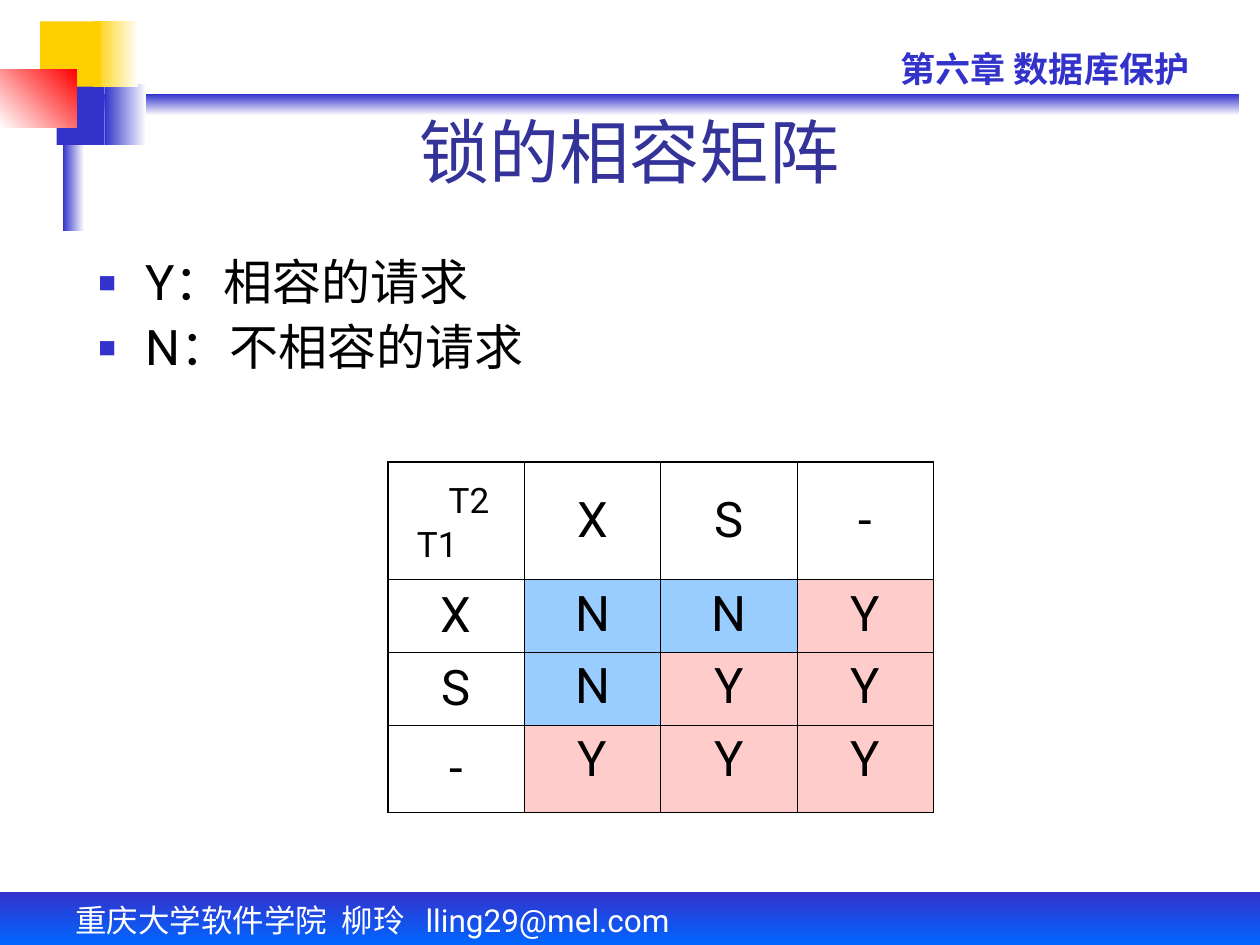
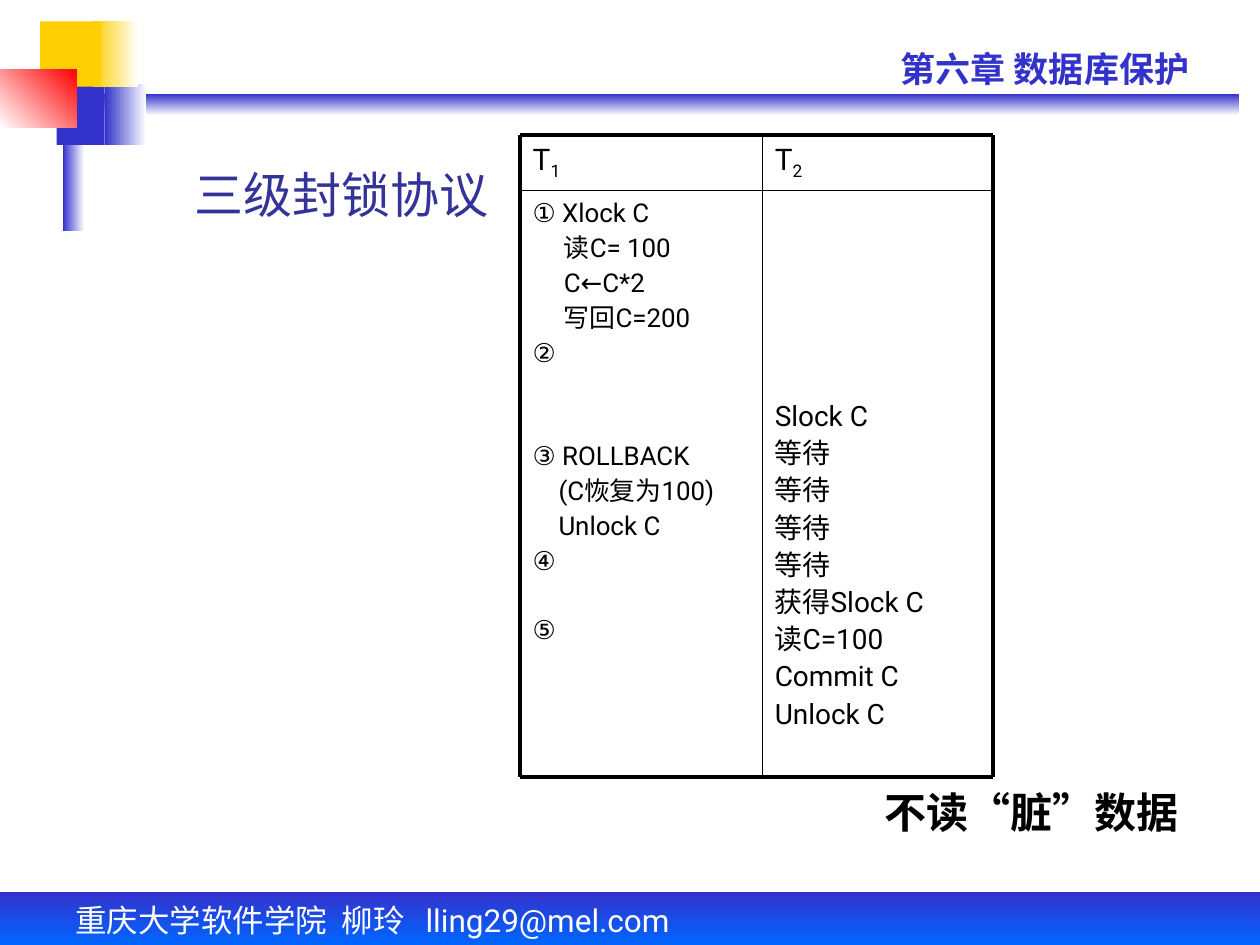
from pptx import Presentation
from pptx.dml.color import RGBColor as Rgb
from pptx.enum.shapes import MSO_CONNECTOR as Link, MSO_SHAPE as Kind
from pptx.enum.text import MSO_ANCHOR as Anchor, MSO_AUTO_SIZE as Fit, PP_ALIGN as Align
from pptx.oxml.ns import qn
from pptx.util import Cm, Pt
from lxml.etree import SubElement as Sub

# ---- Content (lengths in cm, sizes in pt) ----
FONT = "Roboto"
BLUE, NAVY, GOLD, RED = "3333CC", "333399", "FFCF01", "FF0000"
SKY, PINK, WHITE, BLACK = "99CCFF", "FFCCCC", "FFFFFF", "000000"

# box, colours, gradient direction (clockwise)
BANDS = [
    ((1.47, 1.9, 23.5, 0.43), (BLUE, WHITE), 90),
    ((2.11, 1.7, 0.84, 1.22), (WHITE, BLUE), 180),
    ((0, 17.98, 25.4, 1.07), (BLUE, "0066FF"), 90),
    ((1.27, 1.47, 0.43, 3.18), (WHITE, BLUE), 180),
    ((1.14, 1.7, 0.97, 1.22), (BLUE,), 0),
    ((1.88, 0.43, 0.91, 1.32), (WHITE, GOLD), 180),
    ((0.81, 0.43, 1.22, 1.32), (GOLD,), 0),
    ((0, 1.4, 1.55, 1.17), (RED, WHITE), 135),
]
CHAPTER = "第六章 数据库保护"
AUTHOR = ("重庆大学软件学院", "柳玲", "lling29@mel.com")
STOPS = (5.37, 7.06)

LOCK = {
    "title": "锁的相容矩阵",
    "keys": ["Y：相容的请求", "N：不相容的请求"],
    "corner": [("T2", 0.97, 0), ("T1", 0.33, 2)],
    "grid": ["?XS-", "XNNY", "SNYY", "-YYY"],
    "box": (7.82, 9.32, 11.0, 7.06),
    "rows": (2.36, 1.47, 1.47, 1.76),
}
SHADE = {"N": SKY, "Y": PINK}

PACT = {
    "title": "三级封锁协议",
    "note": "不读“脏”数据",
    "xs": (10.49, 15.37, 20.02),
    "ys": (2.72, 3.84, 15.67),
}
# text, indent, space before
FIRST = [
    ("① Xlock C", 0, 4), ("读C= 100", 0.63, 4), ("C←C*2", 0.63, 4),
    ("写回C=200", 0.63, 4), ("②", 0, 4),
    ("③ ROLLBACK", 0, 43), ("(C恢复为100)", 0.52, 4), ("Unlock C", 0.52, 4),
    ("④", 0, 4), ("⑤", 0, 23.6),
]
SECOND = [(text, 0, 4) for text in (
    "Slock C", *["等待"] * 4, "获得Slock C", "读C=100", "Commit C", "Unlock C")]
# steps, text size, top inset
COLS = [(FIRST, 14.8, 0.2), (SECOND, 16, 4.27)]


# ---- Helpers ----
def hue(code):
    return Rgb.from_string(code)


def cms(box):
    return [Cm(n) for n in box]


def put(obj, **vals):
    for name, val in vals.items():
        setattr(obj, name, val)


def write(par, text, size, color=BLACK, bold=False, font=FONT, **form):
    run = par.add_run()
    run.text = text
    put(run.font, name=font, size=Pt(size), bold=bold)
    run.font.color.rgb = hue(color)
    put(par, **form)
    return run


def indent(par, left, hang=0):
    props = par._p.get_or_add_pPr()
    props.set("marL", str(Cm(left)))
    props.set("indent", str(Cm(-hang)))
    return props


def frame(slide, box, **form):
    text = slide.shapes.add_textbox(*cms(box)).text_frame
    put(text, **{"word_wrap": True, **form})
    return text


def band(slide, box, tints, turn):
    shape = slide.shapes.add_shape(Kind.RECTANGLE, *cms(box))
    shape.shadow.inherit = False
    shape.line.fill.background()
    if len(tints) == 1:
        shape.fill.solid()
        shape.fill.fore_color.rgb = hue(tints[0])
        return
    shape.fill.gradient()
    shape.fill.gradient_angle = 360 - turn
    for stop, tint in zip(shape.fill.gradient_stops, tints):
        stop.color.rgb = hue(tint)


def head(slide, text, size, box):
    title = slide.shapes.title
    put(title, **dict(zip(("left", "top", "width", "height"), cms(box))))
    put(title.text_frame, auto_size=Fit.NONE, vertical_anchor=Anchor.BOTTOM)
    write(title.text_frame.paragraphs[0], text, size, NAVY, alignment=Align.CENTER)


def rule(slide, ends, width):
    line = slide.shapes.add_connector(Link.STRAIGHT, *cms(ends))
    line.line.width = Pt(width)
    line.line.color.rgb = hue(BLACK)
    Sub(line.element.spPr, qn("a:effectLst"))


def edge(cell, side, width):
    line = Sub(cell._tc.get_or_add_tcPr(), qn("a:ln" + side), w=str(Pt(width)))
    Sub(Sub(line, qn("a:solidFill")), qn("a:srgbClr"), val=BLACK)


# ---- Shared look, placed on the master ----
def dress(prs, slide):
    old = list(slide.shapes)
    for item in BANDS:
        band(slide, *item)
    par = frame(slide, (1.27, 18.03, 14.17, 1.02)).paragraphs[0]
    write(par, "\t".join(AUTHOR), 18, WHITE)
    tabs = Sub(par._p.get_or_add_pPr(), qn("a:tabLst"))
    for stop in STOPS:
        Sub(tabs, qn("a:tab"), pos=str(Cm(stop)), algn="l")
    par = frame(slide, (17.91, 0.84, 7.09, 1.12)).paragraphs[0]
    write(par, CHAPTER, 20, BLUE, True)
    for shape in list(slide.shapes)[len(old):]:
        prs.slide_master.shapes.element.append(shape.element)


# ---- Slide 1: lock matrix ----
def keys(slide):
    body = slide.placeholders[1]
    put(body, **dict(zip(("left", "top", "width", "height"),
                         cms((1.73, 5.08, 22.53, 2.74)))))
    text = body.text_frame
    text.auto_size = Fit.NONE
    for i, key in enumerate(LOCK["keys"]):
        par = text.add_paragraph() if i else text.paragraphs[0]
        write(par, key, 28, line_spacing=0.9, space_before=Pt(7))
        props = indent(par, 0.95, 0.95)
        Sub(Sub(props, qn("a:buClr")), qn("a:srgbClr"), val=BLUE)
        Sub(props, qn("a:buSzPct"), val="60000")
        Sub(props, qn("a:buFont"), typeface="Arial")
        Sub(props, qn("a:buChar"), char="■")


def matrix(slide):
    grid, last = LOCK["grid"], len(LOCK["grid"]) - 1
    table = slide.shapes.add_table(
        len(grid), len(grid), *cms(LOCK["box"])).table
    put(table, first_row=False, horz_banding=False)
    for row, high in zip(table.rows, LOCK["rows"]):
        row.height = Cm(high)
    for r, marks in enumerate(grid):
        for c, mark in enumerate(marks):
            cell = table.cell(r, c)
            outer = {"L": c == 0, "R": c == last, "T": r == 0, "B": r == last}
            for side, rim in outer.items():
                edge(cell, side, 1.08 if rim else 0.45)
            cell.fill.background()
            if r and c:
                cell.fill.solid()
                cell.fill.fore_color.rgb = hue(SHADE[mark])
            elif r or c:
                cell.vertical_anchor = Anchor.MIDDLE
            if r or c:
                write(cell.text_frame.paragraphs[0], mark, 28,
                      alignment=Align.CENTER, space_before=Pt(7))
    # Corner cell names both transactions
    cell = table.cell(0, 0)
    cell.margin_top = Cm(0.37)
    steps(cell.text_frame, LOCK["corner"], 20, 1)


def steps(text, items, size, pitch=0.9):
    for i, (item, left, gap) in enumerate(items):
        par = text.add_paragraph() if i else text.paragraphs[0]
        write(par, item, size, line_spacing=pitch, space_before=Pt(gap))
        indent(par, left)


# ---- Slide 2: protocol ----
def pact(slide):
    xs, ys = PACT["xs"], PACT["ys"]
    for i, (items, size, inset) in enumerate(COLS):
        left, wide = xs[i], xs[i + 1] - xs[i]
        par = frame(slide, (left, ys[0], wide, ys[1] - ys[0])).paragraphs[0]
        write(par, "T", 17, line_spacing=0.9)
        low = write(par, str(i + 1), 17)
        low._r.get_or_add_rPr().set("baseline", "-25000")
        text = frame(slide, (left, ys[1], wide, ys[2] - ys[1]),
                     margin_top=Cm(inset))
        steps(text, items, size)
    for i in range(3):
        width = 1 if i == 1 else 2.25
        rule(slide, (xs[0], ys[i], xs[2], ys[i]), width)
        rule(slide, (xs[i], ys[0], xs[i], ys[2]), width)
    note = frame(slide, (17.2, 15.52, 7.19, 1.7),
                 word_wrap=False, vertical_anchor=Anchor.MIDDLE)
    write(note.paragraphs[0], PACT["note"], 24, BLACK, True, "Arial",
          alignment=Align.CENTER)


def main():
    prs = Presentation()
    put(prs, slide_width=Cm(25.4), slide_height=Cm(19.05))
    one = prs.slides.add_slide(prs.slide_layouts[1])
    two = prs.slides.add_slide(prs.slide_layouts[5])
    dress(prs, one)
    head(one, LOCK["title"], 40, (1.9, 2.74, 21.59, 1.27))
    keys(one)
    matrix(one)
    head(two, PACT["title"], 28, (2.49, 2.92, 8.79, 1.7))
    pact(two)
    prs.save("out.pptx")


if __name__ == "__main__":
    main()
